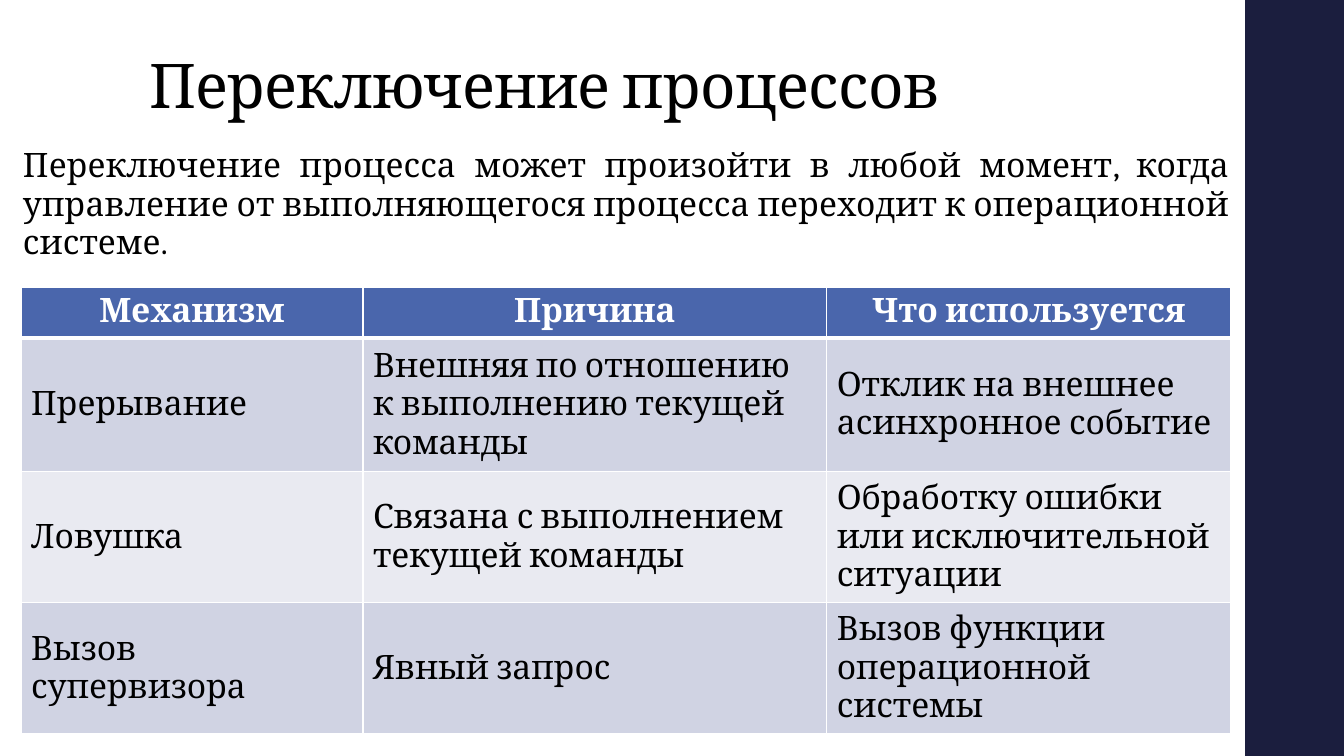
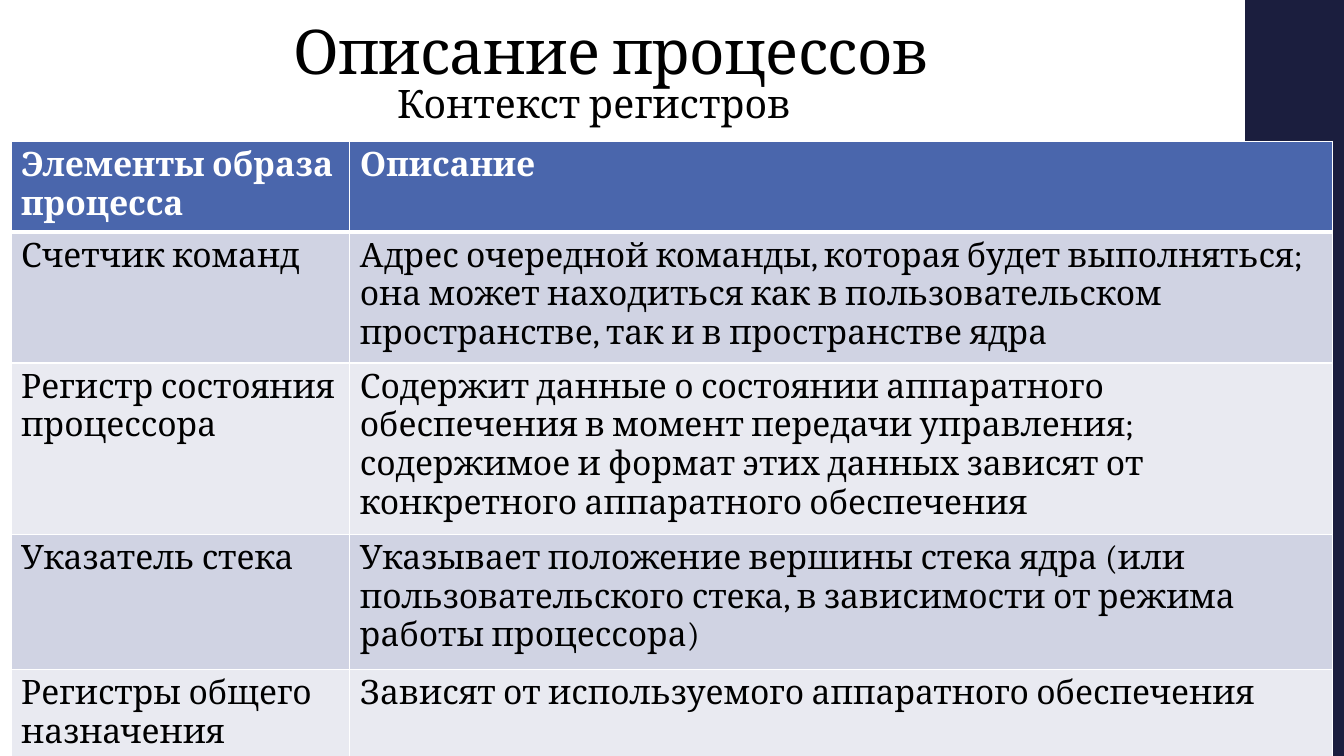
from lxml import etree
from pptx import Presentation, util as u
from pptx.dml.color import RGBColor
from pptx.enum import shapes, text
from pptx.oxml.ns import qn

FONT = "Cambria"
COLORS = {"band": "1B1E3E", "header": "4A66AC", "odd": "D0D3E3",
          "even": "E9EAF1", "ink": "000000", "white": "FFFFFF"}
LEFT, CENTER, JUSTIFY = (text.PP_ALIGN.LEFT, text.PP_ALIGN.CENTER,
                         text.PP_ALIGN.JUSTIFY)
TOP, MIDDLE = text.MSO_ANCHOR.TOP, text.MSO_ANCHOR.MIDDLE

# Content: boxes are left, top, width, height in inches
SLIDES = [
    {
        "title": ("Переключение процессов", (1.38, 0.4, 10.6, 0.86)),
        "body": ("Переключение процесса может произойти в любой момент, когда "
                 "управление от выполняющегося процесса переходит к "
                 "операционной системе.", (0.13, 1.41, 12.17, 1.45)),
        "body_size": 24, "body_align": JUSTIFY,
        "corner": (0.21, 2.85), "columns": (3.39, 4.6, 4.01),
        "heights": (0.42, 1.33, 1.03, 1.03),
        "header_align": CENTER, "anchor": MIDDLE,
        "rows": [
            ("Механизм", "Причина", "Что используется"),
            ("Прерывание", "Внешняя по отношению к выполнению текущей команды",
             "Отклик на внешнее асинхронное событие"),
            ("Ловушка", "Связана с выполнением текущей команды",
             "Обработку ошибки или исключительной ситуации"),
            ("Вызов супервизора", "Явный запрос",
             "Вызов функции операционной системы"),
        ],
    },
    {
        "title": ("Описание процессов", (2.81, 0.04, 9.23, 0.88)),
        "body": ("Контекст регистров", (3.84, 0.77, 5.66, 0.88)),
        "body_size": 28, "body_align": LEFT,
        "corner": (0.11, 1.4), "columns": (3.36, 9.75),
        "heights": (0.5, 0.87, 0.87, 1.34, 1.06),
        "header_align": LEFT, "anchor": TOP,
        "rows": [
            ("Элементы образа процесса", "Описание"),
            ("Счетчик команд",
             "Адрес очередной команды, которая будет выполняться; она может "
             "находиться как в пользовательском пространстве, так и в "
             "пространстве ядра"),
            ("Регистр состояния\nпроцессора",
             "Содержит данные о состоянии аппаратного обеспечения в момент "
             "передачи управления; содержимое и формат этих данных зависят от "
             "конкретного аппаратного обеспечения"),
            ("Указатель стека",
             "Указывает положение вершины стека ядра (или пользовательского "
             "стека, в зависимости от режима работы процессора)"),
            ("Регистры общего\nназначения",
             "Зависят от используемого аппаратного обеспечения"),
        ],
    },
]


def rgb(name):
    return RGBColor.from_string(COLORS[name])


def style(para, size, color="ink", bold=False, align=LEFT):
    para.alignment = align
    font = para.font
    font.name, font.size, font.bold = FONT, u.Pt(size), bold
    font.color.rgb = rgb(color)


def add_band(page):
    band = page.shapes.add_shape(shapes.MSO_SHAPE.RECTANGLE, u.Inches(12.35), 0,
                                 u.Inches(0.98), u.Inches(7.5))
    band.shadow.inherit = False
    band.fill.solid()
    band.fill.fore_color.rgb = rgb("band")
    band.line.fill.background()


def add_text(page, content, size, line_spacing, tracking, align=LEFT,
             anchor=TOP, before=0, after=0):
    words, place = content
    box = page.shapes.add_textbox(*map(u.Inches, place))
    frame = box.text_frame
    frame.word_wrap = True
    frame.vertical_anchor = anchor
    para = frame.paragraphs[0]
    span = para.add_run()
    span.text = words
    span.font._element.set("spc", str(tracking))  # hundredths of a point
    style(para, size, align=align)
    para.line_spacing = line_spacing
    para.space_before, para.space_after = u.Pt(before), u.Pt(after)


def set_borders(cell, widths):
    properties = cell._tc.get_or_add_tcPr()
    for side, width in widths.items():
        line = etree.SubElement(properties, qn("a:ln" + side), w=str(u.Pt(width)))
        fill = etree.SubElement(line, qn("a:solidFill"))
        etree.SubElement(fill, qn("a:srgbClr"), val=COLORS["white"])


def add_table(page, data):
    rows, columns, heights = data["rows"], data["columns"], data["heights"]
    extent = data["corner"] + (sum(columns), sum(heights))
    table = page.shapes.add_table(len(rows), len(columns),
                                  *map(u.Inches, extent)).table
    for column, width in zip(table.columns, columns):
        column.width = u.Inches(width)
    for row, height in zip(table.rows, heights):
        row.height = u.Inches(height)
    for r, row in enumerate(rows):
        is_header = r == 0
        fill = "header" if is_header else "odd" if r % 2 else "even"
        for c, words in enumerate(row):
            cell = table.cell(r, c)
            cell.text = words
            cell.vertical_anchor = TOP if is_header else data["anchor"]
            # Thick rule between the header and the first row
            set_borders(cell, {"L": 1, "R": 1, "T": 3 if r == 1 else 1,
                               "B": 3 if is_header else 1})
            cell.fill.solid()
            cell.fill.fore_color.rgb = rgb(fill)
            for para in cell.text_frame.paragraphs:
                style(para, 24, "white" if is_header else "ink", is_header,
                      data["header_align"] if is_header else LEFT)


def main():
    deck = Presentation()
    deck.slide_width, deck.slide_height = u.Inches(13.33), u.Inches(7.5)
    for data in SLIDES:
        page = deck.slides.add_slide(deck.slide_layouts[6])
        add_band(page)
        add_text(page, data["title"], 44, 0.9, -50,
                 anchor=text.MSO_ANCHOR.BOTTOM)
        add_text(page, data["body"], data["body_size"], 0.95, 10,
                 data["body_align"], before=14, after=2)
        add_table(page, data)
    deck.save("out.pptx")


if __name__ == "__main__":
    main()
